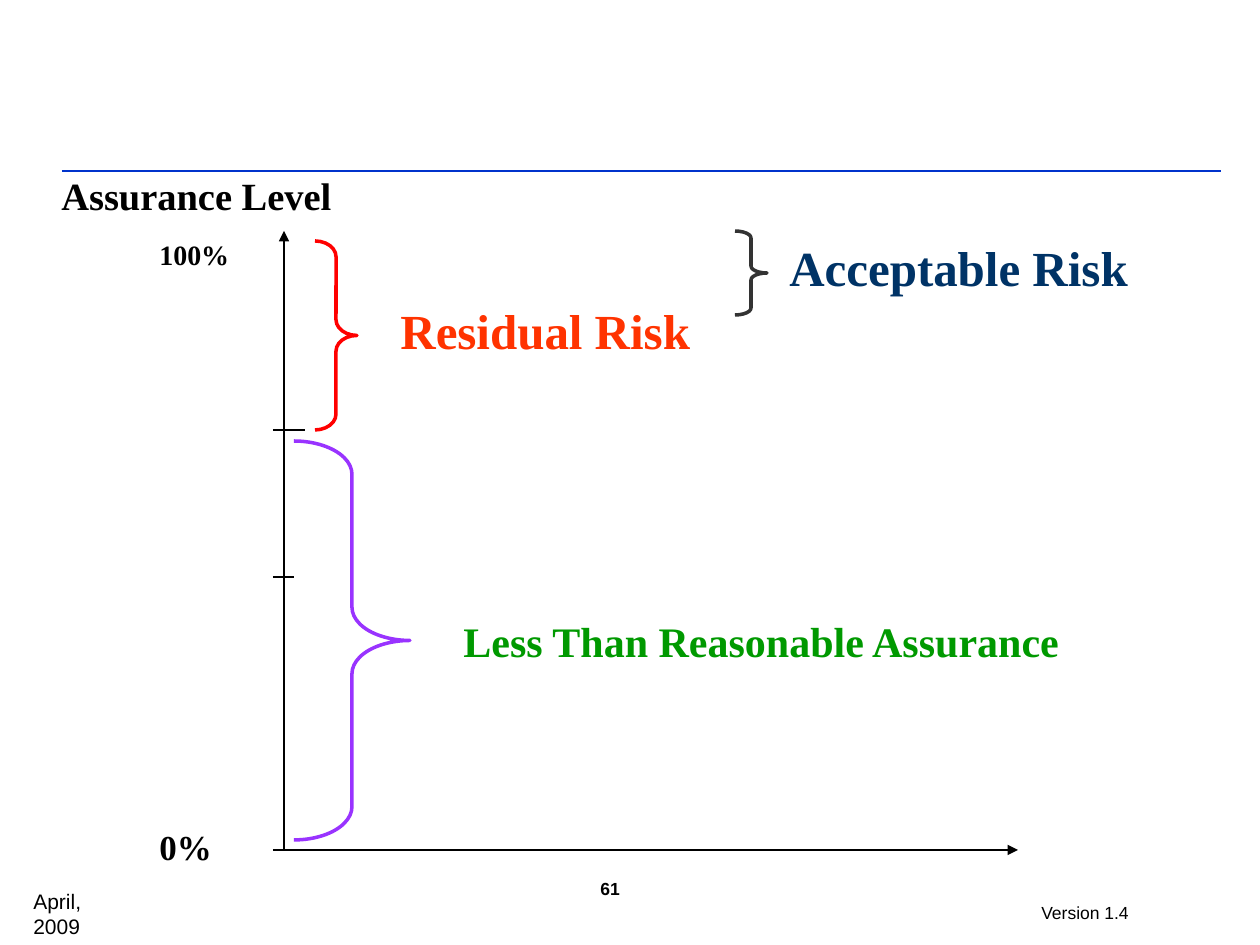
"""Build the assurance level slide with its axes, risk braces and labels."""
import dataclasses

import lxml.etree
import pptx
import pptx.dml.color
import pptx.enum.shapes
import pptx.enum.text
import pptx.oxml.ns
import pptx.slide
import pptx.util

EMU_PER_PX = 914400 / 126
BLANK_LAYOUT = 6


@dataclasses.dataclass(frozen=True)
class Theme:
    serif: str = "Times New Roman"
    sans: str = "Arial"
    black: str = "000000"
    rule: str = "0033CC"
    residual_brace: str = "FF0000"
    residual_text: str = "FF3300"
    acceptable_brace: str = "333333"
    acceptable_text: str = "003366"
    shortfall_brace: str = "9933FF"
    shortfall_text: str = "009900"
    thin: float = 0.75
    thick: float = 2
    footer: int = 10
    date: int = 12
    top_mark: int = 16
    zero_mark: int = 20
    heading: int = 22
    shortfall: int = 24
    risk: int = 28


THEME = Theme()


@dataclasses.dataclass(frozen=True)
class Label:
    text: str
    left: int
    top: int
    width: int
    height: int
    size: int
    color: str = THEME.black
    font: str = THEME.serif
    bold: bool = True
    wrap: bool = True


@dataclasses.dataclass(frozen=True)
class Stroke:
    start: tuple[int, int]
    end: tuple[int, int]
    color: str = THEME.black
    arrow: bool = False


@dataclasses.dataclass(frozen=True)
class Brace:
    left: int
    top: int
    width: int
    height: int
    color: str


STROKES = (
    Stroke((62, 171), (1221, 171), THEME.rule),
    Stroke((273, 850), (1018, 850), arrow=True),
    Stroke((284, 850), (284, 231), arrow=True),
    Stroke((273, 430), (294, 430)),
    Stroke((273, 577), (294, 577)),
    Stroke((284, 430), (305, 430)),
)

BRACES = (
    Brace(315, 241, 42, 189, THEME.residual_brace),
    Brace(735, 231, 32, 84, THEME.acceptable_brace),
    Brace(294, 441, 116, 399, THEME.shortfall_brace),
)

LABELS = (
    Label("April, 2009", 21, 882, 125, 38, THEME.date, font=THEME.sans, bold=False, wrap=False),
    Label("Version 1.4", 1029, 896, 113, 34, THEME.footer, font=THEME.sans, bold=False, wrap=False),
    Label("61", 588, 872, 73, 34, THEME.footer, font=THEME.sans),
    Label("Assurance Level", 49, 166, 528, 59, THEME.heading),
    Label("100%", 147, 231, 116, 47, THEME.top_mark),
    Label("Residual Risk", 388, 294, 336, 72, THEME.risk, THEME.residual_text),
    Label("0%", 147, 819, 95, 55, THEME.zero_mark),
    Label("Acceptable Risk", 777, 231, 441, 72, THEME.risk, THEME.acceptable_text),
    Label("Less Than Reasonable Assurance", 451, 609, 662, 63, THEME.shortfall, THEME.shortfall_text),
)


def px(*lengths: int) -> list[pptx.util.Emu]:
    """Turn pixel lengths into EMU."""
    return [pptx.util.Emu(round(length * EMU_PER_PX)) for length in lengths]


def rgb(color: str) -> pptx.dml.color.RGBColor:
    """Turn a hex string into a colour."""
    return pptx.dml.color.RGBColor.from_string(color)


def draw_stroke(page: pptx.slide.Slide, stroke: Stroke) -> None:
    """Draw a thin straight line, with an arrowhead at its end if asked."""
    connector = page.shapes.add_connector(
        pptx.enum.shapes.MSO_CONNECTOR.STRAIGHT, *px(*stroke.start, *stroke.end))
    connector.line.color.rgb = rgb(stroke.color)
    connector.line.width = pptx.util.Pt(THEME.thin)
    qualify = pptx.oxml.ns.qn
    properties = connector.element.find(qualify("p:spPr"))
    if stroke.arrow:
        outline = properties.find(qualify("a:ln"))
        lxml.etree.SubElement(outline, qualify("a:tailEnd"), type="triangle")
    lxml.etree.SubElement(properties, qualify("a:effectLst"))


def draw_brace(page: pptx.slide.Slide, brace: Brace) -> None:
    """Draw a right brace whose curves each span a twelfth of its height."""
    shape = page.shapes.add_shape(
        pptx.enum.shapes.MSO_SHAPE.RIGHT_BRACE,
        *px(brace.left, brace.top, brace.width, brace.height))
    shape.adjustments[0] = brace.height / (12 * brace.width)
    shape.shadow.inherit = False
    shape.fill.background()
    shape.line.color.rgb = rgb(brace.color)
    shape.line.width = pptx.util.Pt(THEME.thick)


def draw_label(page: pptx.slide.Slide, label: Label) -> None:
    """Draw a one-line text box."""
    box = page.shapes.add_textbox(*px(label.left, label.top, label.width, label.height))
    frame = box.text_frame
    frame.word_wrap = label.wrap
    frame.auto_size = pptx.enum.text.MSO_AUTO_SIZE.SHAPE_TO_FIT_TEXT
    span = frame.paragraphs[0].add_run()
    span.text = label.text
    formats = {"name": label.font, "size": pptx.util.Pt(label.size), "bold": label.bold}
    for name, value in formats.items():
        setattr(span.font, name, value)
    span.font.color.rgb = rgb(label.color)


def main() -> None:
    """Assemble and save the deck."""
    deck = pptx.Presentation()
    deck.slide_width, deck.slide_height = px(1260, 945)
    page = deck.slides.add_slide(deck.slide_layouts[BLANK_LAYOUT])
    for stroke in STROKES:
        draw_stroke(page, stroke)
    for brace in BRACES:
        draw_brace(page, brace)
    for label in LABELS:
        draw_label(page, label)
    deck.save("out.pptx")


if __name__ == "__main__":
    main()
